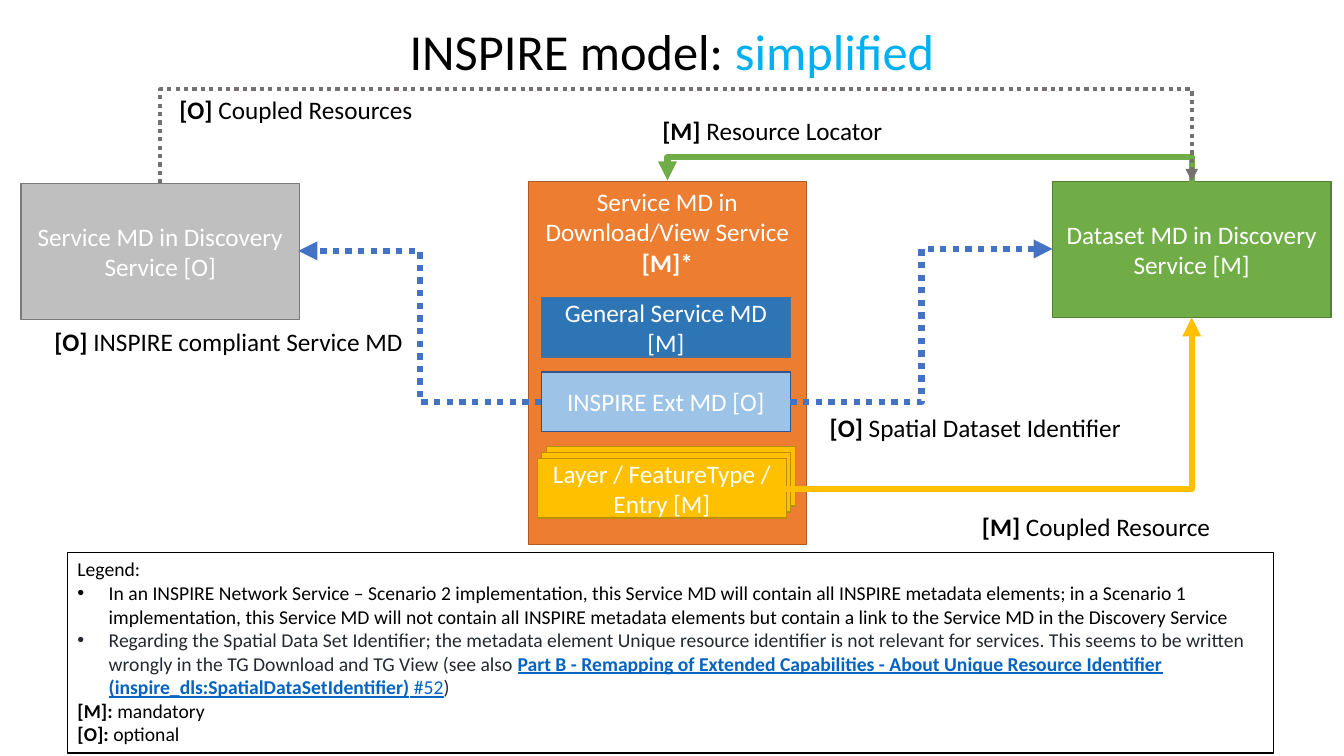
from lxml import etree
from pptx import Presentation
from pptx.dml.color import RGBColor
from pptx.enum.dml import MSO_LINE
from pptx.enum.shapes import MSO_CONNECTOR, MSO_SHAPE
from pptx.enum.text import MSO_ANCHOR, PP_ALIGN
from pptx.oxml.ns import qn
from pptx.util import Inches, Pt

ELBOW = MSO_CONNECTOR.ELBOW
RECTANGLE = MSO_SHAPE.RECTANGLE
DOTTED = MSO_LINE.ROUND_DOT  # stored as sysDot
TOP, MIDDLE = MSO_ANCHOR.TOP, MSO_ANCHOR.MIDDLE
LEFT, CENTER = PP_ALIGN.LEFT, PP_ALIGN.CENTER

BLACK = RGBColor(0x00, 0x00, 0x00)
WHITE = RGBColor(0xFF, 0xFF, 0xFF)
SKY = RGBColor(0x00, 0xB0, 0xF0)
INK = RGBColor(0x24, 0x29, 0x2F)
LINK = RGBColor(0x05, 0x63, 0xC1)
GRAY, GRAY_EDGE = RGBColor(0xBF, 0xBF, 0xBF), RGBColor(0x7A, 0x7A, 0x7A)
ORANGE, ORANGE_EDGE = RGBColor(0xED, 0x7D, 0x31), RGBColor(0xAF, 0x5C, 0x24)
GREEN, GREEN_EDGE = RGBColor(0x70, 0xAD, 0x47), RGBColor(0x53, 0x80, 0x35)
GOLD, GOLD_EDGE = RGBColor(0xFF, 0xC0, 0x00), RGBColor(0xBD, 0x8E, 0x00)
PALE_BLUE, PALE_BLUE_EDGE = RGBColor(0x9D, 0xC3, 0xE6), RGBColor(0x32, 0x54, 0x91)
BLUE, BLUE_EDGE = RGBColor(0x2E, 0x75, 0xB6), RGBColor(0x43, 0x73, 0x9E)
LINE_BLUE = RGBColor(0x44, 0x72, 0xC4)
LINE_GRAY = RGBColor(0x76, 0x71, 0x71)


def add_runs(paragraph, runs, size, color, alignment=LEFT):
    """Fill a paragraph with (text, font values) pairs; a "color" value overrides color."""
    paragraph.alignment = alignment
    for text, values in runs:
        run = paragraph.add_run()
        run.text = text
        run.font.name = "Calibri"
        run.font.size = Pt(size)
        run.font.color.rgb = values.get("color", color)
        for name in ("bold", "underline"):
            setattr(run.font, name, values.get(name, False))


def add_box(left, top, width, height, fill, edge, anchor=MIDDLE):
    box = slide.shapes.add_shape(
        RECTANGLE, Inches(left), Inches(top), Inches(width), Inches(height))
    box.shadow.inherit = False
    box.fill.solid()
    box.fill.fore_color.rgb = fill
    box.line.color.rgb = edge
    box.line.width = Pt(1)
    box.text_frame.word_wrap = True
    box.text_frame.vertical_anchor = anchor
    return box


presentation = Presentation()
presentation.slide_width = Inches(13.33)
presentation.slide_height = Inches(7.5)
slide = presentation.slides.add_slide(presentation.slide_layouts[6])

# Metadata boxes
METADATA_SIZE = (2.76, 1.35)
PART_SIZE = (2.47, 0.59)
boxes = [
    (0.21, 1.82, *METADATA_SIZE, GRAY, GRAY_EDGE, MIDDLE,
     [("Service MD in Discovery Service [O]", {})]),
    (5.24, 1.8, 2.76, 3.6, ORANGE, ORANGE_EDGE, TOP,
     [("Service MD in Download/View Service ", {}), ("[M]*", {"bold": True})]),
    (10.44, 1.8, *METADATA_SIZE, GREEN, GREEN_EDGE, MIDDLE,
     [("Dataset MD in Discovery Service [M]", {})]),
    (5.37, 2.95, *PART_SIZE, BLUE, BLUE_EDGE, MIDDLE, [("General Service MD [M]", {})]),
    (5.37, 3.69, *PART_SIZE, PALE_BLUE, PALE_BLUE_EDGE, MIDDLE, [("INSPIRE Ext MD [O]", {})]),
    (5.42, 4.43, *PART_SIZE, GOLD, GOLD_EDGE, MIDDLE, []),
    (5.37, 4.49, *PART_SIZE, GOLD, GOLD_EDGE, MIDDLE, []),
    (5.33, 4.55, *PART_SIZE, GOLD, GOLD_EDGE, MIDDLE,
     [("Layer / FeatureType / Entry [M]", {})]),
]
for *box_format, runs in boxes:
    box = add_box(*box_format)
    add_runs(box.text_frame.paragraphs[0], runs, 18, WHITE, CENTER)

# Arrows: start, end, color, width, dash, preset, bend (share of the run), upright
arrows = [
    ((7.84, 3.99), (10.44, 2.47), LINE_BLUE, 4.5, DOTTED, "bentConnector3", 0.5, False),
    ((5.37, 3.99), (2.96, 2.49), LINE_BLUE, 4.5, DOTTED, "bentConnector3", 0.5, False),
    ((11.82, 1.81), (6.62, 1.79), GREEN, 4.5, None, "bentConnector3", 12.5, True),
    ((7.8, 4.85), (11.82, 3.15), GOLD, 4.5, None, "bentConnector2", None, False),
    ((1.59, 1.82), (11.82, 1.8), LINE_GRAY, 3, DOTTED, "bentConnector3", 46.5, True),
]
for start, end, color, width, dash, preset, bend, upright in arrows:
    if upright:  # leaves vertically: a level elbow turned by 270 degrees about its centre
        center_x, center_y = (start[0] + end[0]) / 2, (start[1] + end[1]) / 2
        start, end = [(center_x - (y - center_y), center_y + (x - center_x))
                      for x, y in (start, end)]
    arrow = slide.shapes.add_connector(ELBOW, *[Inches(value) for value in (*start, *end)])
    arrow.line.color.rgb = color
    arrow.line.width = Pt(width)
    if dash:
        arrow.line.dash_style = dash
    properties = arrow._element.spPr
    if upright:
        properties.find(qn("a:xfrm")).set("rot", str(270 * 60000))
    geometry = properties.find(qn("a:prstGeom"))
    geometry.set("prst", preset)
    if bend:
        guide = etree.SubElement(geometry.find(qn("a:avLst")), qn("a:gd"))
        guide.set("name", "adj1")
        guide.set("fmla", f"val {round(bend * 100000)}")
    etree.SubElement(properties.find(qn("a:ln")), qn("a:tailEnd")).set("type", "triangle")
    etree.SubElement(properties, qn("a:effectLst"))

# Title and arrow labels
BOLD = {"bold": True}
texts = [
    (3.83, 0.15, 5.67, 0.71, 36, CENTER,
     [("INSPIRE model: ", {}), ("simplified", {"color": SKY})]),
    (1.68, 0.89, 2.64, 0.4, 18, LEFT, [("[O]", BOLD), (" Coupled Resources", {})]),
    (6.47, 1.09, 2.41, 0.4, 18, LEFT, [("[M]", BOLD), (" Resource Locator", {})]),
    (0.44, 3.19, 3.7, 0.4, 18, LEFT, [("[O]", BOLD), (" INSPIRE compliant Service MD", {})]),
    (8.13, 4.04, 3.13, 0.4, 18, LEFT, [("[O]", BOLD), (" Spatial Dataset Identifier", {})]),
    (9.64, 5.02, 2.5, 0.4, 18, LEFT, [("[M]", BOLD), (" Coupled Resource", {})]),
]
for left, top, width, height, size, alignment, runs in texts:
    text_box = slide.shapes.add_textbox(
        Inches(left), Inches(top), Inches(width), Inches(height))
    text_box.text_frame.word_wrap = False
    add_runs(text_box.text_frame.paragraphs[0], runs, size, BLACK, alignment)

# Legend
legend = [
    (False, [("Legend:", {})]),
    (True, [("In an INSPIRE Network Service – Scenario 2 implementation, this Service MD will "
             "contain all INSPIRE metadata elements; in a Scenario 1 implementation, this "
             "Service MD will not contain all INSPIRE metadata elements but contain a link to "
             "the Service MD in the Discovery Service", {})]),
    (True, [("Regarding the Spatial Data Set Identifier; the metadata element Unique resource "
             "identifier is not relevant for services. This seems to be written wrongly in the "
             "TG Download and TG View (see also ", {"color": INK}),
            ("Part B - Remapping of Extended Capabilities - About Unique Resource Identifier "
             "(inspire_dls:SpatialDataSetIdentifier)",
             {"color": LINK, "bold": True, "underline": True}),
            (" #52", {"color": LINK, "underline": True}),
            (")", {"color": INK})]),
    (False, [("[M]: ", BOLD), ("mandatory", {})]),
    (False, [("[O]:", BOLD), (" optional", {})]),
]
legend_frame = add_box(0.67, 5.48, 11.96, 1.99, WHITE, BLACK, TOP).text_frame
for index, (bulleted, runs) in enumerate(legend):
    paragraph = legend_frame.add_paragraph() if index else legend_frame.paragraphs[0]
    add_runs(paragraph, runs, 14, BLACK)
    if bulleted:
        paragraph_properties = paragraph._p.get_or_add_pPr()
        paragraph_properties.set("marL", str(Inches(0.31)))
        paragraph_properties.set("indent", str(-Inches(0.31)))
        etree.SubElement(paragraph_properties, qn("a:buFont")).set("typeface", "Arial")
        etree.SubElement(paragraph_properties, qn("a:buChar")).set("char", "•")

presentation.save("out.pptx")
